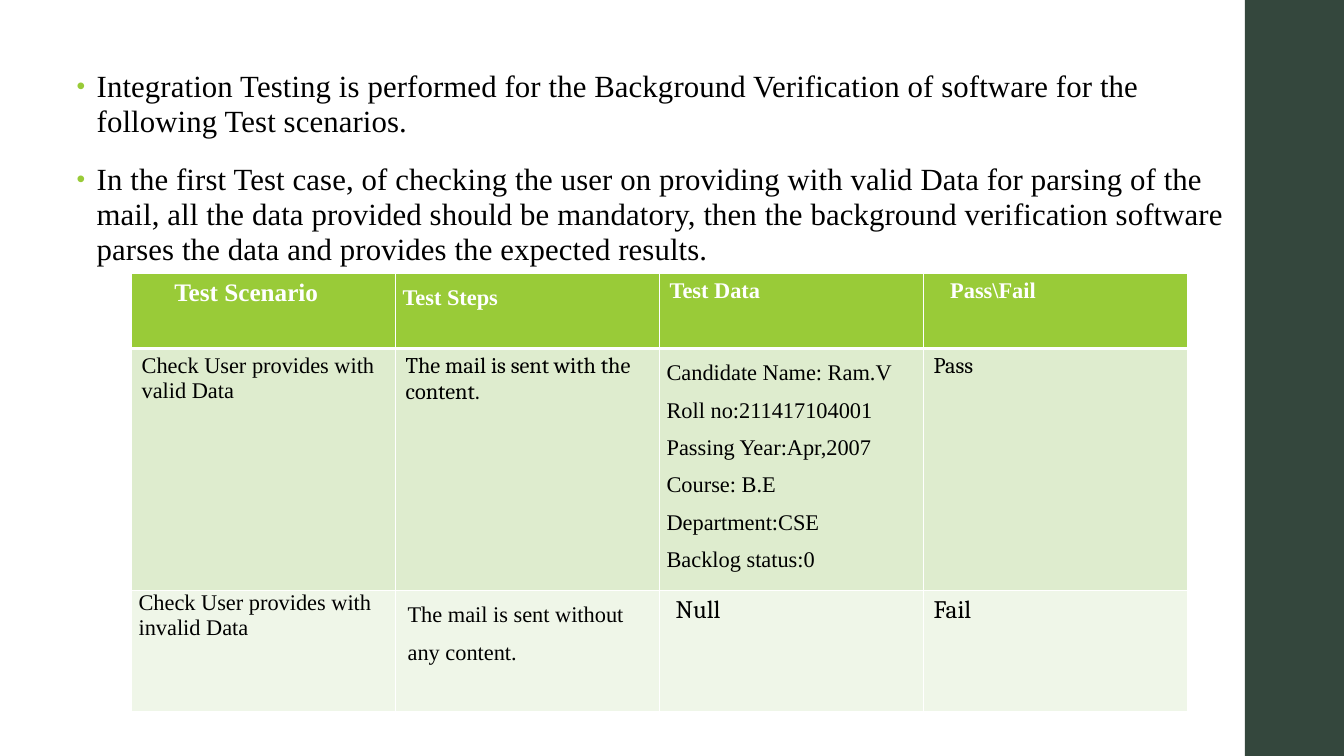
from lxml import etree
from pptx import Presentation
from pptx.dml.color import RGBColor
from pptx.enum.shapes import MSO_SHAPE
from pptx.oxml.ns import qn
from pptx.util import Pt

RECTANGLE = MSO_SHAPE.RECTANGLE
WHITE = RGBColor(0xFF, 0xFF, 0xFF)
BLACK = RGBColor(0, 0, 0)
DARK_GREEN = RGBColor(0x34, 0x47, 0x3D)
LIME = RGBColor(0x99, 0xCB, 0x38)
PALE_LIME = RGBColor(0xDE, 0xEC, 0xCE)
FAINT_LIME = RGBColor(0xEF, 0xF6, 0xE8)
SERIF = "Times New Roman"
CAMBRIA = "Cambria"

BULLETS = [
    "Integration Testing is performed for the Background Verification of software "
    "for the following Test scenarios.",
    "In the first Test case, of checking the user on providing with valid Data for "
    "parsing of the mail, all the data provided should be mandatory, then the "
    "background verification software parses the data and provides the expected results.",
]
CANDIDATE = ["Candidate Name: Ram.V", "Roll no:211417104001", "Passing Year:Apr,2007",
             "Course: B.E", "Department:CSE", "Backlog status:0"]
ROW_HEIGHTS = [53.6, 151.2, 86.4]
ROW_FILLS = [LIME, PALE_LIME, FAINT_LIME]
COLUMN_WIDTH = 188.6
TIGHT = {"left": 5, "top": 0, "line_spacing": 1.5}
ROWS = [
    [(["Test Scenario"], {"size": 18, "left": 30.5}),
     (["Test Steps"], TIGHT),
     (["Test Data"], {}),
     (["Pass\\Fail"], {"left": 19})],
    [(["Check User provides with valid Data"], {}),
     (["The mail is sent with the content."], {"name": CAMBRIA}),
     (CANDIDATE, TIGHT),
     (["Pass"], {"name": CAMBRIA})],
    [(["Check User provides with invalid Data"], {"left": 5, "top": 0}),
     (["The mail is sent without any content."], TIGHT | {"left": 8.6}),
     (["Null"], {"name": CAMBRIA, "size": 18, "left": 11.5}),
     (["Fail"], {"name": CAMBRIA, "size": 18})],
]


def set_values(target, values):
    """Set each named attribute of the target."""
    for name, value in values.items():
        setattr(target, name, value)


def add_run(paragraph, text, size, color, name=SERIF, bold=False):
    """Add a formatted run to a paragraph."""
    run = paragraph.add_run()
    run.text = text
    set_values(run.font, {"name": name, "size": Pt(size), "bold": bold})
    run.font.color.rgb = color
    return run


def add_side_bar(slide, left, top, width, height):
    """Draw the dark bar at the edge of the slide."""
    shape = slide.shapes.add_shape(RECTANGLE, Pt(left), Pt(top), Pt(width), Pt(height))
    shape.shadow.inherit = False
    shape.fill.solid()
    shape.fill.fore_color.rgb = DARK_GREEN
    shape.line.fill.background()


def add_bullet(paragraph):
    """Give a paragraph a lime bullet with a hanging indent."""
    properties = paragraph._p.get_or_add_pPr()
    properties.set("marL", str(Pt(14.4)))
    properties.set("indent", str(-Pt(14.4)))
    bullet_color = etree.SubElement(properties, qn("a:buClr"))
    etree.SubElement(bullet_color, qn("a:srgbClr"), val=str(LIME))
    etree.SubElement(properties, qn("a:buSzPct"), val="80000")
    etree.SubElement(properties, qn("a:buFont"), typeface="Arial")
    etree.SubElement(properties, qn("a:buChar"), char="•")


def add_introduction(slide, left, top, width, height):
    """Place the bulleted introduction in its box."""
    shape = slide.shapes.add_textbox(Pt(left), Pt(top), Pt(width), Pt(height))
    frame = shape.text_frame
    frame.word_wrap = True
    for index, text in enumerate(BULLETS):
        paragraph = frame.add_paragraph() if index else frame.paragraphs[0]
        set_values(paragraph, {"line_spacing": 0.95, "space_before": Pt(14),
                               "space_after": Pt(2)})
        add_bullet(paragraph)
        run = add_run(paragraph, text, 22, BLACK)
        run.font._element.set("spc", "10")


def add_borders(cell, widths):
    """Draw white cell borders, given a width for each side."""
    properties = cell._tc.get_or_add_tcPr()
    for index, (side, width) in enumerate(widths.items()):
        line = etree.Element(qn(f"a:ln{side}"), w=str(Pt(width)))
        fill = etree.SubElement(line, qn("a:solidFill"))
        etree.SubElement(fill, qn("a:srgbClr"), val=str(WHITE))
        properties.insert(index, line)


def fill_cell(cell, lines, is_header, size=16, name=SERIF, left=7.2, top=3.6,
              line_spacing=1.0):
    """Write the lines of a cell and set its margins."""
    set_values(cell, {"margin_left": Pt(left), "margin_right": Pt(min(left, 8.6)),
                      "margin_top": Pt(top), "margin_bottom": Pt(top)})
    for index, text in enumerate(lines):
        frame = cell.text_frame
        paragraph = frame.add_paragraph() if index else frame.paragraphs[0]
        paragraph.line_spacing = line_spacing
        add_run(paragraph, text, size, WHITE if is_header else BLACK, name, is_header)


def add_test_table(slide, left, top):
    """Place the table of test scenarios."""
    count = len(ROWS[0])
    shape = slide.shapes.add_table(len(ROWS), count, Pt(left), Pt(top),
                                   Pt(COLUMN_WIDTH * count), Pt(sum(ROW_HEIGHTS)))
    table = shape.table
    for column in table.columns:
        column.width = Pt(COLUMN_WIDTH)
    for row_index, row in enumerate(ROWS):
        table.rows[row_index].height = Pt(ROW_HEIGHTS[row_index])
        for column_index, (lines, options) in enumerate(row):
            cell = table.cell(row_index, column_index)
            cell.fill.solid()
            cell.fill.fore_color.rgb = ROW_FILLS[row_index]
            add_borders(cell, {"L": 1, "R": 1, "T": 3 if row_index == 1 else 1,
                               "B": 3 if row_index == 0 else 1})
            fill_cell(cell, lines, row_index == 0, **options)


def main():
    """Build and save the presentation."""
    presentation = Presentation()
    set_values(presentation, {"slide_width": Pt(960), "slide_height": Pt(540)})
    slide = presentation.slides.add_slide(presentation.slide_layouts[6])
    add_side_bar(slide, 889.2, 0, 70.8, 540)
    add_introduction(slide, 47.6, 46, 846.8, 472)
    add_test_table(slide, 94, 195.4)
    presentation.save("out.pptx")


if __name__ == "__main__":
    main()
